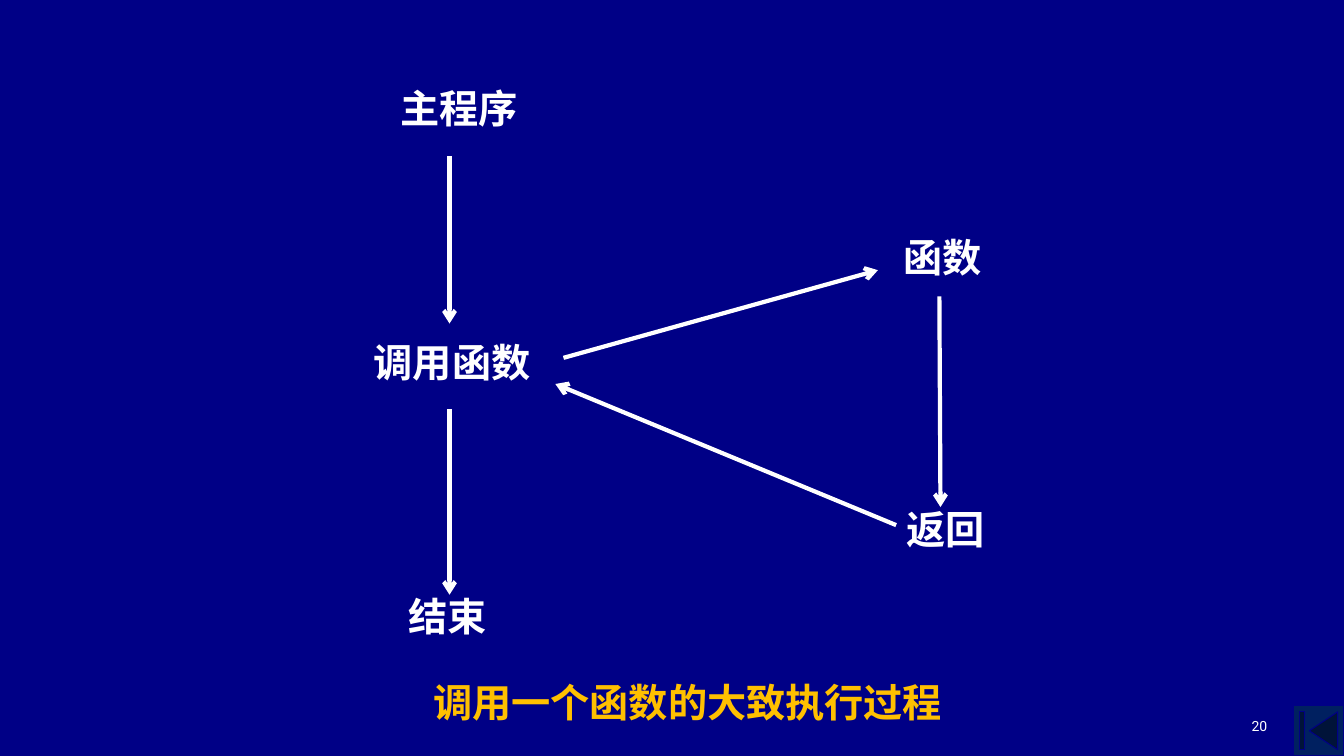
"""Build a slide that shows how a function call is carried out."""
from dataclasses import dataclass

from lxml.etree import SubElement
from pptx import Presentation
from pptx.dml.color import RGBColor
from pptx.enum.shapes import MSO_CONNECTOR, MSO_SHAPE
from pptx.enum.text import MSO_ANCHOR, PP_ALIGN
from pptx.oxml.ns import qn
from pptx.util import Pt


@dataclass(frozen=True)
class Theme:
    """Colours, fonts and sizes of the slide."""
    background: RGBColor = RGBColor(0x00, 0x00, 0x86)
    button: RGBColor = RGBColor(0x00, 0x20, 0x60)
    white: RGBColor = RGBColor(0xFF, 0xFF, 0xFF)
    gold: RGBColor = RGBColor(0xFF, 0xC0, 0x00)
    step_font: str = "Times New Roman"
    body_font: str = "Roboto"
    step_size: int = 28
    number_size: int = 10
    arrow_width: float = 3
    button_line: float = 0.75


THEME = Theme()

STEPS = [
    ("主程序", (265.7, 60.5, 124.6, 43.9)),
    ("调用函数", (241.9, 241.9, 162, 39.6)),
    ("返回", (627.1, 360.7, 96.5, 43.2)),
    ("结束", (247.7, 423.4, 144, 43.2)),
    ("函数", (633.6, 167, 79.2, 44.6)),
]

ARROWS = [
    (321.1, 111.6, 321.1, 231.1),
    (321.1, 292.3, 321.1, 424.8),
    (402.5, 255.6, 627.1, 193),
    (671, 211.7, 671.8, 362.2),
    (640.1, 375.1, 396.7, 274.3),
]


def points(values):
    """Turn numbers into lengths in points."""
    return [Pt(value) for value in values]


def add_text(slide, text, box, font_name, size, color, bold=True, align=PP_ALIGN.LEFT):
    """Add a one-paragraph text box and return its frame."""
    frame = slide.shapes.add_textbox(*points(box)).text_frame
    frame.word_wrap = True
    paragraph = frame.paragraphs[0]
    paragraph.text = text
    paragraph.alignment = align
    font = paragraph.font
    font.name, font.size, font.bold = font_name, Pt(size), bold
    font.color.rgb = color
    return frame


def add_step(slide, text, box):
    """Add a centred step label without insets."""
    frame = add_text(slide, text, box, THEME.step_font, THEME.step_size,
                     THEME.white, align=PP_ALIGN.CENTER)
    frame.margin_left = frame.margin_right = frame.margin_top = frame.margin_bottom = 0


def add_arrow(slide, ends):
    """Add a straight line with an open arrowhead at its end."""
    arrow = slide.shapes.add_connector(MSO_CONNECTOR.STRAIGHT, *points(ends))
    arrow.line.color.rgb = THEME.white
    arrow.line.width = Pt(THEME.arrow_width)
    SubElement(arrow.line._get_or_add_ln(), qn("a:tailEnd"), type="arrow")
    SubElement(arrow._element.spPr, qn("a:effectLst"))


def add_start_button(slide, box):
    """Add the button that leads back to the beginning."""
    shape = slide.shapes.add_shape(MSO_SHAPE.ACTION_BUTTON_BEGINNING, *points(box))
    shape.shadow.inherit = False
    shape.fill.solid()
    shape.fill.fore_color.rgb = THEME.button
    shape.line.color.rgb = THEME.background
    shape.line.width = Pt(THEME.button_line)


def main():
    """Build and save the slide."""
    presentation = Presentation()
    presentation.slide_width, presentation.slide_height = Pt(960), Pt(540)
    slide = presentation.slides.add_slide(presentation.slide_layouts[6])
    slide.background.fill.solid()
    slide.background.fill.fore_color.rgb = THEME.background

    add_start_button(slide, (924, 504, 36, 36))
    number = add_text(slide, "20", (688.3, 491.8, 223.9, 36), THEME.body_font,
                      THEME.number_size, THEME.white, bold=False, align=PP_ALIGN.RIGHT)
    number.vertical_anchor = MSO_ANCHOR.BOTTOM
    for text, box in STEPS:
        add_step(slide, text, box)
    for ends in ARROWS:
        add_arrow(slide, ends)
    add_text(slide, "调用一个函数的大致执行过程", (302.4, 481, 383, 41),
             THEME.body_font, THEME.step_size, THEME.gold)
    presentation.save("out.pptx")


if __name__ == "__main__":
    main()
